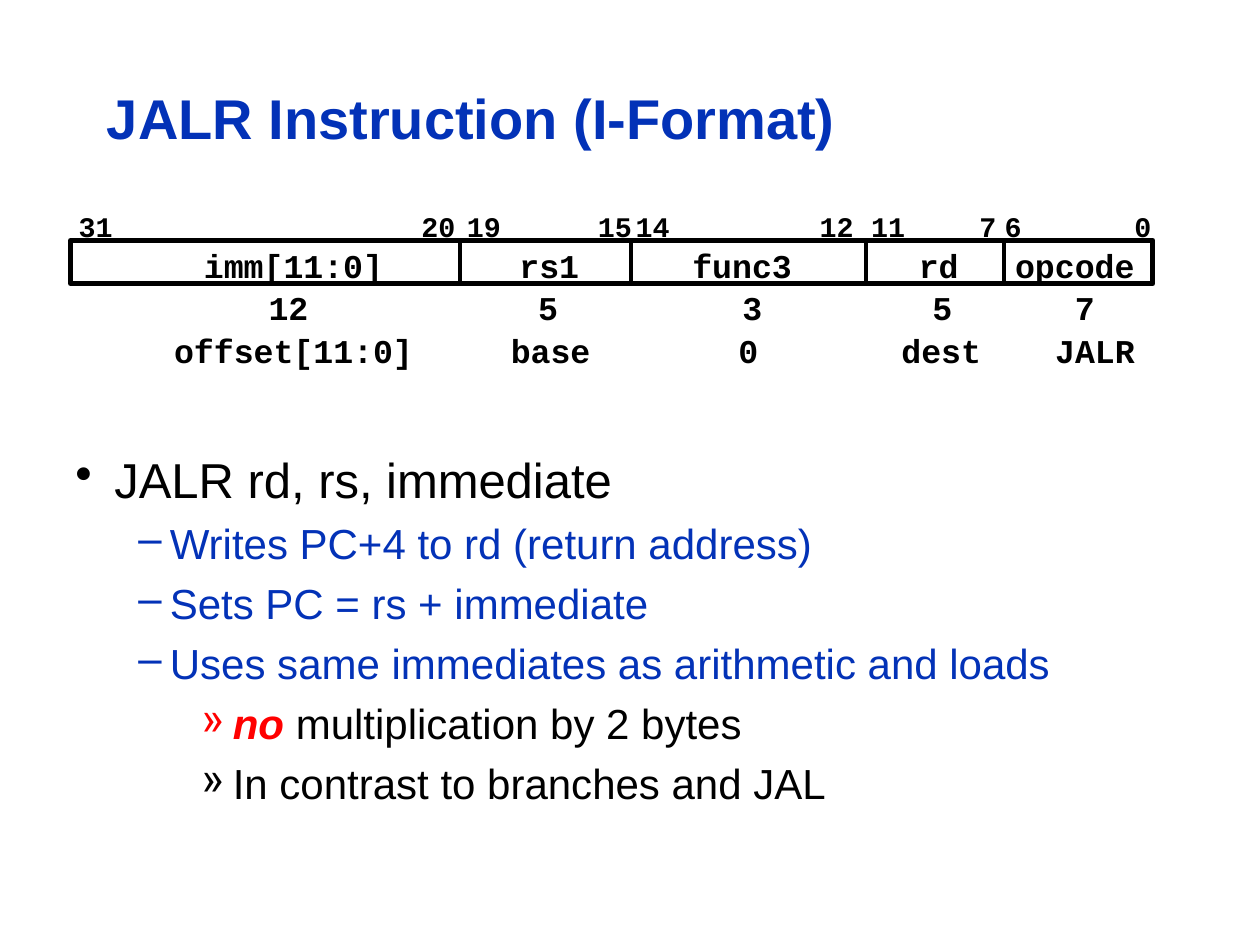
import pptx
import pptx.util
import pptx.dml.color
import pptx.enum.shapes
import pptx.enum.text
from lxml import etree

Inches, Pt = pptx.util.Inches, pptx.util.Pt
ALIGN = pptx.enum.text.PP_ALIGN
ANCHOR = pptx.enum.text.MSO_ANCHOR
COLORS = {"blue": "0332B7", "black": "000000", "red": "FF0000"}

TITLE = "JALR Instruction (I-Format)"
# Each row: top, text size, then (text, centre)
ROWS = [
    (1.61, 16.2, [("31", 0.76), ("20", 3.48), ("19", 3.84), ("15", 4.88),
                  ("14", 5.18), ("12", 6.64), ("11", 7.05), ("7", 7.84),
                  ("6", 8.04), ("0", 9.07)]),
    (1.9, 19, [("imm[11:0]", 2.33), ("rs1", 4.36), ("func3", 5.89),
               ("rd", 7.45), ("opcode", 8.53)]),
    (2.23, 19, [("12", 2.29), ("5", 4.35), ("3", 5.97), ("5", 7.48),
                ("7", 8.61)]),
    (2.57, 19, [("offset[11:0]", 2.33), ("base", 4.37), ("0", 5.94),
                ("dest", 7.47), ("JALR", 8.69)]),
]
FRAME = (0.56, 1.91, 8.59, 0.34)
SPLITS = [3.65, 5.01, 6.87, 7.97]
# Each point: level, colour, stressed start, rest
POINTS = [
    (0, "black", "", "JALR rd, rs, immediate"),
    (1, "blue", "", "Writes PC+4 to rd (return address)"),
    (1, "blue", "", "Sets PC = rs + immediate"),
    (1, "blue", "", "Uses same immediates as arithmetic and loads"),
    (2, "black", "no", " multiplication by 2 bytes"),
    (2, "black", "", "In contrast to branches and JAL"),
]
# Each level: bullet, text size, left margin, hanging indent
LEVELS = [("•", 28, 0.31, 0.31), ("–", 24, 0.75, 0.25), ("»", 24, 1.25, 0.25)]


def color(name):
    return pptx.dml.color.RGBColor.from_string(COLORS[name])


def style(font, face, size, hue, bold=False):
    font.name, font.size, font.bold = face, Pt(size), bold
    font.color.rgb = color(hue)


def add_box(slide, left, top, width, height, wrap=True):
    box = slide.shapes.add_textbox(*map(Inches, (left, top, width, height)))
    box.text_frame.word_wrap = wrap
    return box.text_frame


def add_label(slide, text, center, top, size):
    width = len(text) * size * 0.6 / 72 + 0.2
    height = size * 1.15 / 72 + 0.11
    para = add_box(slide, center - width / 2, top, width, height, False).paragraphs[0]
    para.text, para.alignment = text, ALIGN.CENTER
    style(para.font, "Courier New", size, "black", True)


def add_bullet(para, mark, left, hang):
    props = para._p.get_or_add_pPr()
    props.set("marL", str(Inches(left)))
    props.set("indent", str(-Inches(hang)))
    etree.SubElement(props, pptx.oxml.ns.qn("a:buChar")).set("char", mark)


def add_points(slide):
    frame = add_box(slide, 0.5, 3.57, 9, 3.26)
    for i, (level, hue, stress, rest) in enumerate(POINTS):
        para = frame.add_paragraph() if i else frame.paragraphs[0]
        mark, size, left, hang = LEVELS[level]
        para.level = level
        add_bullet(para, mark, left, hang)
        para.line_spacing = 0.9
        if i:
            para.space_before = Pt(8.3)
        style(para.font, "Arial", size, hue)
        if stress:
            run = para.add_run()
            run.text = stress
            style(run.font, "Arial", size, "red", True)
            run.font.italic = True
        run = para.add_run()
        run.text = rest


def add_frame(slide):
    shapes = pptx.enum.shapes
    rect = slide.shapes.add_shape(shapes.MSO_SHAPE.RECTANGLE, *map(Inches, FRAME))
    rect.shadow.inherit = False
    rect.fill.background()
    rect.line.color.rgb, rect.line.width = color("black"), Pt(3)
    top, bottom = FRAME[1], FRAME[1] + FRAME[3]
    for x in SPLITS:
        line = slide.shapes.add_connector(
            shapes.MSO_CONNECTOR.STRAIGHT, *map(Inches, (x, top, x, bottom)))
        line.line.color.rgb, line.line.width = color("black"), Pt(2.25)
        etree.SubElement(line._element.spPr, pptx.oxml.ns.qn("a:effectLst"))


def main():
    deck = pptx.Presentation()
    deck.slide_width, deck.slide_height = Inches(10), Inches(7.5)
    slide = deck.slides.add_slide(deck.slide_layouts[6])

    frame = add_box(slide, 0.75, 0.36, 8.32, 1.2)
    frame.vertical_anchor = ANCHOR.MIDDLE
    para = frame.paragraphs[0]
    para.text, para.line_spacing = TITLE, 0.9
    style(para.font, "Arial", 32, "blue", True)

    add_points(slide)
    for top, size, labels in ROWS:
        for text, center in labels:
            add_label(slide, text, center, top, size)
    add_frame(slide)
    deck.save("out.pptx")


if __name__ == "__main__":
    main()
